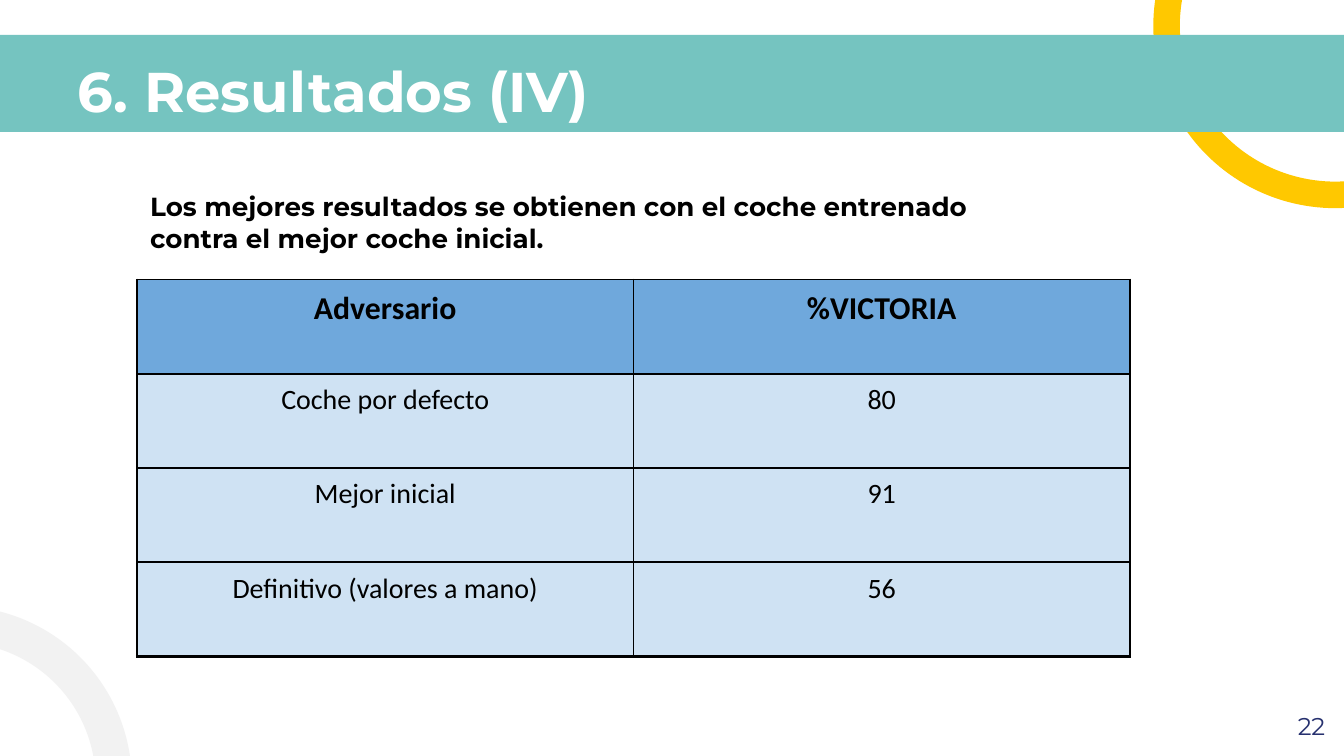
import lxml.etree
import pptx
import pptx.dml.color
import pptx.enum.shapes
import pptx.enum.text
import pptx.oxml.ns
import pptx.util

Pt = pptx.util.Pt
ALIGN = pptx.enum.text.PP_ALIGN
SHAPE = pptx.enum.shapes.MSO_SHAPE

BLACK = "000000"
HEADING_FONT = "Montserrat"
TABLE_FONT = "Calibri"
ROWS = [
    ("Adversario", "%VICTORIA"),
    ("Coche por defecto", "80"),
    ("Mejor inicial", "91"),
    ("Definitivo (valores a mano)", "56"),
]


def color(value):
    return pptx.dml.color.RGBColor.from_string(value)


def add_decoration(slide, kind, left, top, width, height, fill, rotation=0, adjustments=()):
    shape = slide.shapes.add_shape(kind, Pt(left), Pt(top), Pt(width), Pt(height))
    shape.shadow.inherit = False
    shape.fill.solid()
    shape.fill.fore_color.rgb = color(fill)
    shape.line.fill.background()
    shape.rotation = rotation
    for index, value in enumerate(adjustments):
        shape.adjustments[index] = value


def write_text(frame, text, size, font, text_color, bold=False, align=ALIGN.LEFT, inset=7.2):
    frame.word_wrap = True
    frame.vertical_anchor = pptx.enum.text.MSO_ANCHOR.TOP
    frame.margin_left = frame.margin_right = Pt(inset)
    frame.margin_top = frame.margin_bottom = Pt(inset)
    paragraph = frame.paragraphs[0]
    paragraph.alignment = align
    run = paragraph.add_run()
    run.text = text
    run.font.size = Pt(size)
    run.font.name = font
    run.font.bold = bold
    run.font.color.rgb = color(text_color)


def add_title(slide, text):
    title = slide.shapes.title
    title.left, title.top, title.width, title.height = Pt(34.5), Pt(23), Pt(609), Pt(45.5)
    title.text_frame.auto_size = pptx.enum.text.MSO_AUTO_SIZE.NONE
    write_text(title.text_frame, text, 30, HEADING_FONT, "FFFFFF", bold=True)
    # Bring the title in front of the band
    title.element.getparent().append(title.element)


def add_text(slide, left, top, width, height, text, size, text_color, **style):
    box = slide.shapes.add_textbox(Pt(left), Pt(top), Pt(width), Pt(height))
    write_text(box.text_frame, text, size, HEADING_FONT, text_color, **style)


def set_borders(cell, widths):
    """Draw black borders; widths are in points: left, right, top, bottom."""
    properties = cell._tc.get_or_add_tcPr()
    for side, width in zip("LRTB", widths):
        line = lxml.etree.SubElement(properties, pptx.oxml.ns.qn(f"a:ln{side}"), w=str(Pt(width)))
        fill = lxml.etree.SubElement(line, pptx.oxml.ns.qn("a:solidFill"))
        lxml.etree.SubElement(fill, pptx.oxml.ns.qn("a:srgbClr"), val=BLACK)


def format_cell(cell, text, is_header, border_widths):
    set_borders(cell, border_widths)
    cell.fill.solid()
    cell.fill.fore_color.rgb = color("6FA8DC" if is_header else "CFE2F3")
    cell.margin_left = cell.margin_right = Pt(5)
    cell.margin_top = cell.margin_bottom = Pt(5)
    cell.vertical_anchor = pptx.enum.text.MSO_ANCHOR.TOP
    paragraph = cell.text_frame.paragraphs[0]
    paragraph.alignment = ALIGN.CENTER
    run = paragraph.add_run()
    run.text = text
    run.font.size = Pt(17 if is_header else 15)
    run.font.name = TABLE_FONT
    run.font.bold = is_header
    run.font.color.rgb = color(BLACK)


def add_results_table(slide, left, top, column_width, row_height):
    row_count, column_count = len(ROWS), len(ROWS[0])
    table = slide.shapes.add_table(
        row_count, column_count, Pt(left), Pt(top),
        Pt(column_width * column_count), Pt(row_height * row_count),
    ).table
    table.horz_banding = False
    for column in table.columns:
        column.width = Pt(column_width)
    for row_index, values in enumerate(ROWS):
        table.rows[row_index].height = Pt(row_height)
        is_last = row_index == row_count - 1
        for column_index, text in enumerate(values):
            left_width = 1.5 if is_last and column_index == 0 else 1
            widths = (left_width, 1, 1, 1.5 if is_last else 1)
            format_cell(table.cell(row_index, column_index), text, row_index == 0, widths)


def main():
    presentation = pptx.Presentation()
    presentation.slide_width, presentation.slide_height = Pt(720), Pt(405)
    slide = presentation.slides.add_slide(presentation.slide_layouts[5])

    add_decoration(slide, SHAPE.BLOCK_ARC, 617.8, -83.5, 195, 195, "FFC800",
                   rotation=180, adjustments=(159.04, 7.22, 0.073))
    add_decoration(slide, SHAPE.RECTANGLE, -12, 18.7, 744, 52, "75C4C0")
    add_decoration(slide, SHAPE.BLOCK_ARC, -117.4, 324.7, 188, 188, "F2F2F2",
                   rotation=74.3, adjustments=(125.82, 166.85, 0.103))
    add_title(slide, "6. Resultados (IV)")
    add_text(slide, 674, 373.7, 43, 31, "22", 13, "27316F", align=ALIGN.RIGHT)
    add_results_table(slide, 73.4, 149.75, 266, 50.5)
    add_text(slide, 73.4, 95, 493, 39,
             "Los mejores resultados se obtienen con el coche entrenado "
             "contra el mejor coche inicial.", 14, BLACK, bold=True)

    presentation.save("out.pptx")


if __name__ == "__main__":
    main()
